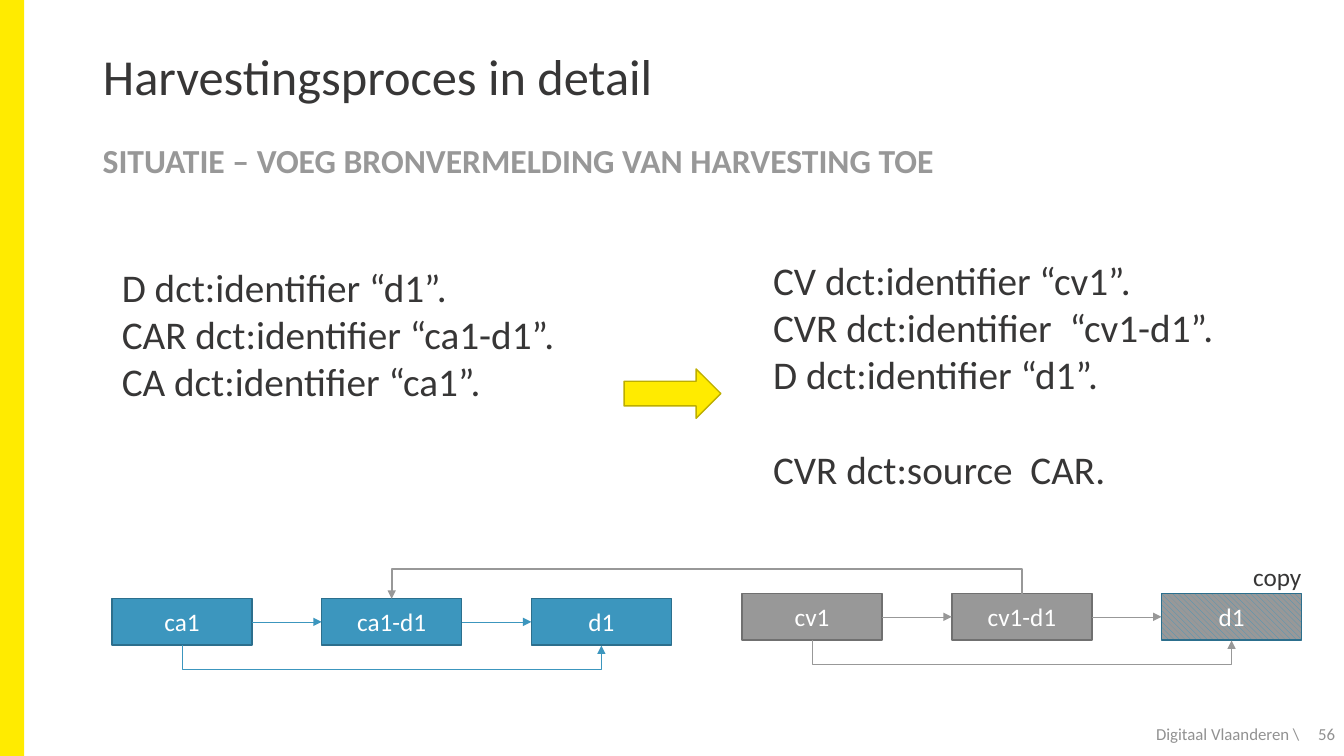
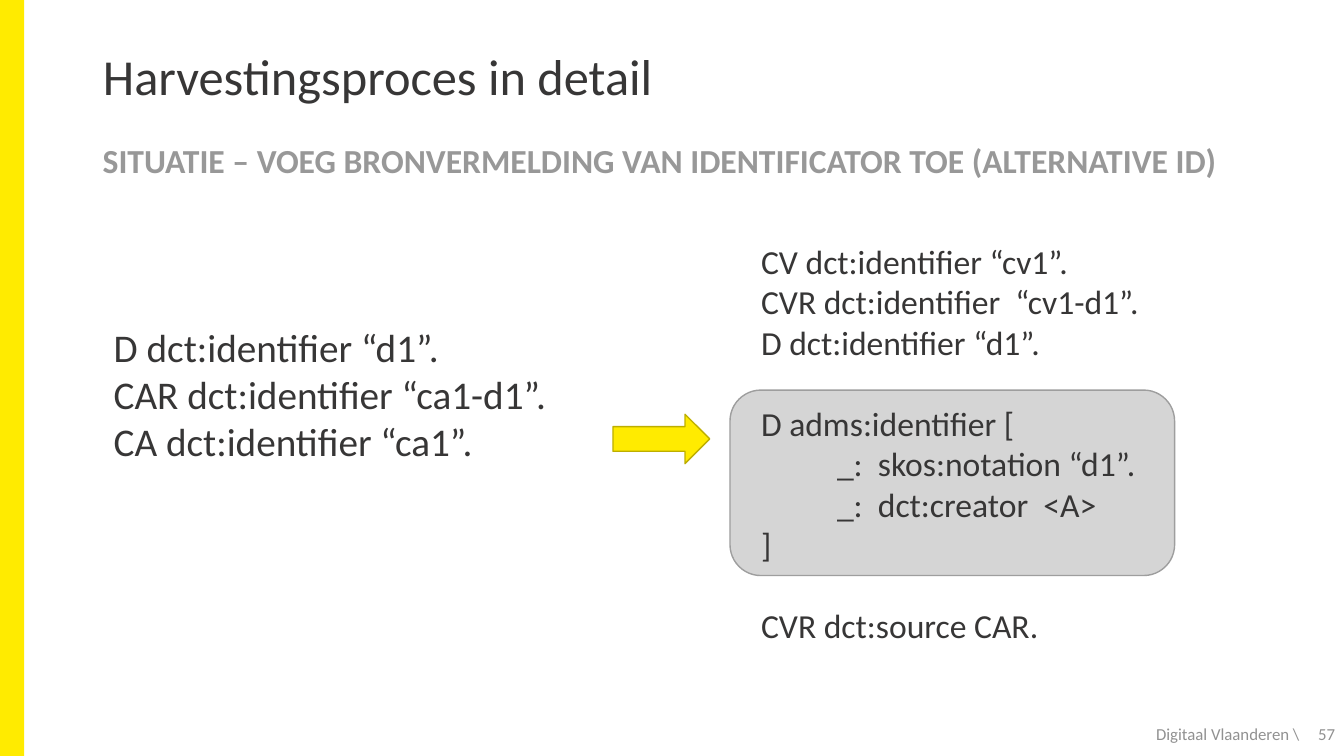
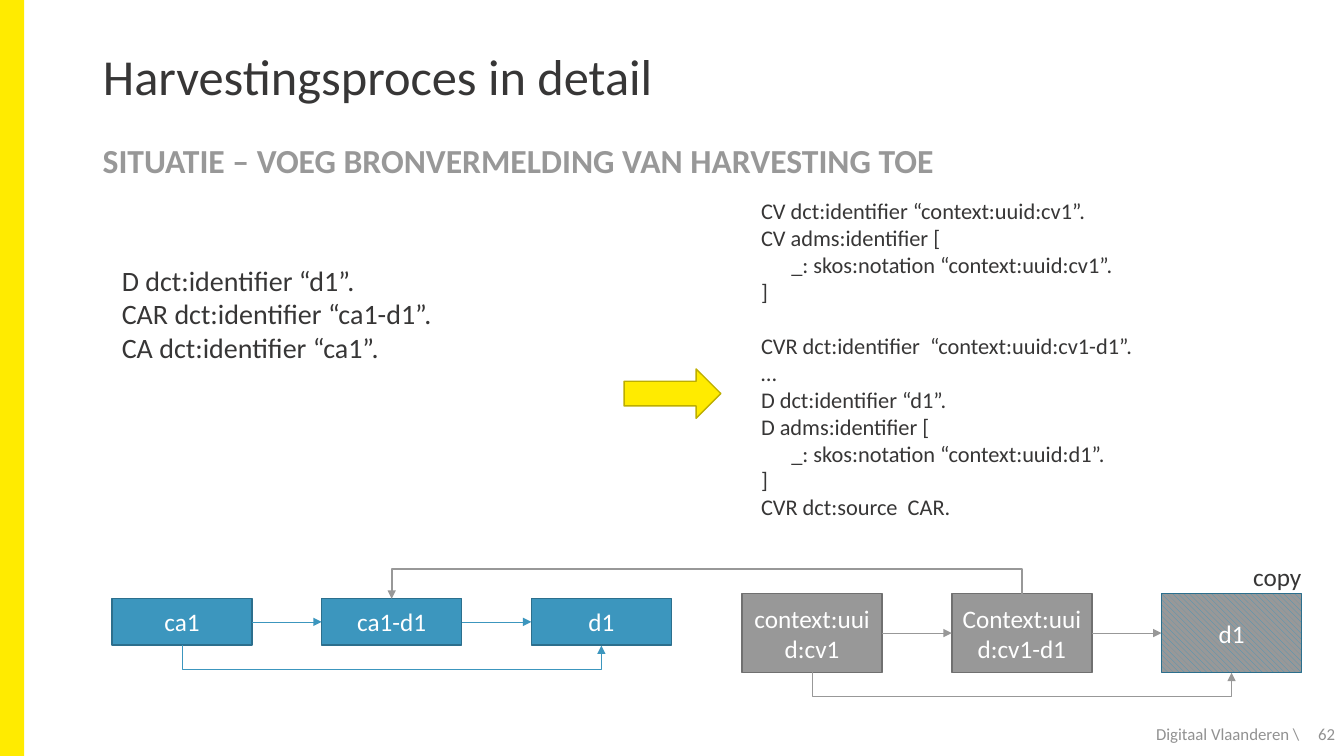
from lxml import etree
from pptx import Presentation
from pptx.dml.color import RGBColor
from pptx.enum import dml, shapes, text
from pptx.oxml import ns
from pptx.util import Inches, Pt

FONT = "Calibri"
COLORS = {
    "yellow": "FFEB00", "yellow_edge": "BDAE00",
    "blue": "3C96BE", "blue_edge": "2C6F8D",
    "grey": "989898", "grey_edge": "707070",
    "panel": "D5D5D5", "panel_edge": "9E9E9E",
    "ink": "373636", "footer": "919191", "white": "FFFFFF",
}
BOX_WIDTH, BOX_STEP, LOOP_DEPTH = 1.39, 2.08, 0.25
CATALOG_LEFT, CATALOG_TOP = 1.11, 5.94
HARVEST_LEFT, HARVEST_TOP = 7.36, 5.89

HARVEST_TITLE = "SITUATIE – VOEG BRONVERMELDING VAN HARVESTING TOE"
ALTERNATIVE_TITLE = "SITUATIE – VOEG BRONVERMELDING VAN IDENTIFICATOR TOE (ALTERNATIVE ID)"
SOURCE_CODE = [["D dct:identifier “d1”.", "CAR dct:identifier “ca1-d1”.", "CA dct:identifier “ca1”."]]
HARVESTED_IDS = ["CV dct:identifier “cv1”.", "CVR dct:identifier  “cv1-d1”.", "D dct:identifier “d1”."]
ALTERNATIVE_ID = ["D adms:identifier [", "          _:  skos:notation “d1”.",
                  "          _:  dct:creator  <A>", "]"]
CONTEXT_CODE = [
    ["CV dct:identifier “context:uuid:cv1”.", "CV adms:identifier [",
     "      _: skos:notation “context:uuid:cv1”.", "]"],
    ["CVR dct:identifier  “context:uuid:cv1-d1”.", "…", "D dct:identifier “d1”.",
     "D adms:identifier [", "      _: skos:notation “context:uuid:d1”.", "]",
     "CVR dct:source  CAR."],
]


def color(name):
    return RGBColor.from_string(COLORS[name])


def inches(*lengths):
    return [Inches(length) for length in lengths]


def style(para, size, ink="ink", bold=False, align=text.PP_ALIGN.LEFT):
    para.alignment = align
    font = para.font
    font.name, font.size, font.bold = FONT, Pt(size), bold
    font.color.rgb = color(ink)


def add_text(page, at, words, size, anchor=text.MSO_ANCHOR.MIDDLE, wrap=True, **look):
    frame = page.shapes.add_textbox(*inches(*at)).text_frame
    frame.word_wrap = wrap
    frame.vertical_anchor = anchor
    frame.text = words
    style(frame.paragraphs[0], size, **look)
    return frame


def add_code(page, at, blocks, size):
    """Set code one line a paragraph, with a line of space between blocks."""
    frame = add_text(page, at, blocks[0][0], size, text.MSO_ANCHOR.TOP)
    for index, block in enumerate(blocks):
        for row, line in enumerate(block):
            if index == row == 0:
                continue
            para = frame.add_paragraph()
            para.text = line
            style(para, size)
            if row == 0:
                para.space_before = Pt(round(size * 1.22, 1))


def add_shape(page, kind, at, fill, edge=None):
    shape = page.shapes.add_shape(kind, *inches(*at))
    shape.shadow.inherit = False
    shape.fill.solid()
    shape.fill.fore_color.rgb = color(fill)
    if edge:
        shape.line.color.rgb = color(edge)
        shape.line.width = Pt(1)
    else:
        shape.line.fill.background()
    return shape


def add_block_arrow(page, left, top):
    add_shape(page, shapes.MSO_SHAPE.RIGHT_ARROW, (left, top, 0.96, 0.49), "yellow", "yellow_edge")


def add_box(page, at, label, fill):
    box = add_shape(page, shapes.MSO_SHAPE.RECTANGLE, at, fill, fill + "_edge")
    frame = box.text_frame
    frame.word_wrap = True
    frame.vertical_anchor = text.MSO_ANCHOR.MIDDLE
    frame.text = label
    style(frame.paragraphs[0], 18, "white", align=text.PP_ALIGN.CENTER)
    return box


def join(page, kind, start, start_side, end, end_side, ink, width=0.5):
    """Join two boxes with an arrow; sides are 0 top, 1 left, 2 bottom, 3 right."""
    arrow = page.shapes.add_connector(kind, 0, 0, 0, 0)
    arrow.begin_connect(start, start_side)
    arrow.end_connect(end, end_side)
    arrow.line.color.rgb = color(ink)
    arrow.line.width = Pt(width)
    etree.SubElement(arrow.line._get_or_add_ln(), ns.qn("a:tailEnd"), type="triangle")
    etree.SubElement(arrow._element.spPr, ns.qn("a:effectLst"))
    return arrow


def add_loop(page, start, end, side, ink, width=0.5):
    """Draw a U-shaped arrow between two tops (side 0) or two bottoms (side 2)."""
    arrow = join(page, shapes.MSO_CONNECTOR.ELBOW, start, side, end, side, ink, width)
    start_x, end_x = (box.left + box.width // 2 for box in (start, end))
    start_y, end_y = (box.top + (box.height if side else 0) for box in (start, end))
    drop, span = max(end_y - start_y, Inches(0.01)), abs(end_x - start_x)
    # The elbow is turned a quarter, so its width is the vertical drop.
    arrow.left = (start_x + end_x - drop) // 2
    arrow.top = (start_y + end_y - span) // 2
    arrow.width, arrow.height = drop, span
    properties = arrow._element.spPr
    frame = properties.find(ns.qn("a:xfrm"))
    frame.set("rot", "16200000")
    frame.set("flipH", "1")
    frame.set("flipV", "1" if end_x < start_x else "0")
    depth = Inches(LOOP_DEPTH if side else -LOOP_DEPTH)
    guides = properties.find(ns.qn("a:prstGeom")).get_or_add_avLst()
    etree.SubElement(guides, ns.qn("a:gd"), name="adj1", fmla=f"val {round(depth / drop * 100000)}")


def add_chain(page, left, top, height, labels, fill):
    boxes = [add_box(page, (left + index * BOX_STEP, top, BOX_WIDTH, height), label, fill)
             for index, label in enumerate(labels)]
    for start, end in zip(boxes, boxes[1:]):
        join(page, shapes.MSO_CONNECTOR.STRAIGHT, start, 3, end, 1, fill)
    add_loop(page, boxes[0], boxes[-1], 2, fill)
    return boxes


def add_harvest_diagram(page, harvest_labels, harvest_height):
    catalog = add_chain(page, CATALOG_LEFT, CATALOG_TOP, 0.46, ["ca1", "ca1-d1", "d1"], "blue")
    harvest = add_chain(page, HARVEST_LEFT, HARVEST_TOP, harvest_height, harvest_labels, "grey")
    copied = harvest[-1]
    copied.fill.patterned()
    copied.fill.pattern = dml.MSO_PATTERN.WIDE_DOWNWARD_DIAGONAL
    copied.fill.fore_color.rgb = color("blue")
    copied.fill.back_color.rgb = color("grey")
    copied.line.color.rgb = color("blue_edge")
    add_loop(page, harvest[1], catalog[1], 0, "grey", 1.5)
    add_text(page, (12.33, 5.52, 0.68, 0.4), "copy", 18, wrap=False)


def add_page(deck, subtitle, number):
    page = deck.slides.add_slide(deck.slide_layouts[5])
    add_shape(page, shapes.MSO_SHAPE.RECTANGLE, (0, 0, 0.24, 7.5), "yellow")
    title = page.shapes.title
    title.left, title.top, title.width, title.height = inches(0.92, 0.4, 11.5, 0.77)
    frame = title.text_frame
    frame.text = "Harvestingsproces in detail"
    frame.vertical_anchor = text.MSO_ANCHOR.MIDDLE
    frame.paragraphs[0].line_spacing = 0.9
    style(frame.paragraphs[0], 36)
    heading = add_text(page, (0.92, 1.36, 11.5, 0.51), subtitle, 24, ink="grey", bold=True)
    heading.paragraphs[0].line_spacing = 0.9
    for left, width, words in ((10.73, 2.26, "Digitaal Vlaanderen \\"), (12.42, 0.92, str(number))):
        add_text(page, (left, 7.08, width, 0.4), words, 12, ink="footer", align=text.PP_ALIGN.RIGHT)
    return page


def add_source_page(deck):
    page = add_page(deck, HARVEST_TITLE, 56)
    add_code(page, (1.11, 2.56, 6.54, 1.51), SOURCE_CODE, 28)
    add_code(page, (7.57, 2.49, 5.7, 2.93), [HARVESTED_IDS, ["CVR dct:source  CAR."]], 28)
    add_block_arrow(page, 6.19, 3.66)
    add_harvest_diagram(page, ["cv1", "cv1-d1", "d1"], 0.46)


def add_alternative_page(deck):
    page = add_page(deck, ALTERNATIVE_TITLE, 57)
    add_shape(page, shapes.MSO_SHAPE.ROUNDED_RECTANGLE, (7.24, 3.87, 4.41, 1.84), "panel", "panel_edge")
    add_code(page, (7.45, 2.34, 5.8, 4.14),
             [HARVESTED_IDS, ALTERNATIVE_ID, ["CVR dct:source CAR."]], 24)
    add_code(page, (1.03, 3.16, 6.54, 1.51), SOURCE_CODE, 28)
    add_block_arrow(page, 6.08, 4.11)


def add_context_page(deck):
    page = add_page(deck, HARVEST_TITLE, 62)
    add_code(page, (1.11, 2.56, 6.54, 1.11), SOURCE_CODE, 20)
    add_code(page, (7.45, 1.91, 5.8, 3.7), CONTEXT_CODE, 16)
    add_block_arrow(page, 6.19, 3.66)
    add_harvest_diagram(page, ["context:uuid:cv1", "Context:uuid:cv1-d1", "d1"], 0.78)


def main():
    deck = Presentation()
    deck.slide_width, deck.slide_height = inches(13.33, 7.5)
    add_source_page(deck)
    add_alternative_page(deck)
    add_context_page(deck)
    deck.save("out.pptx")


if __name__ == "__main__":
    main()
